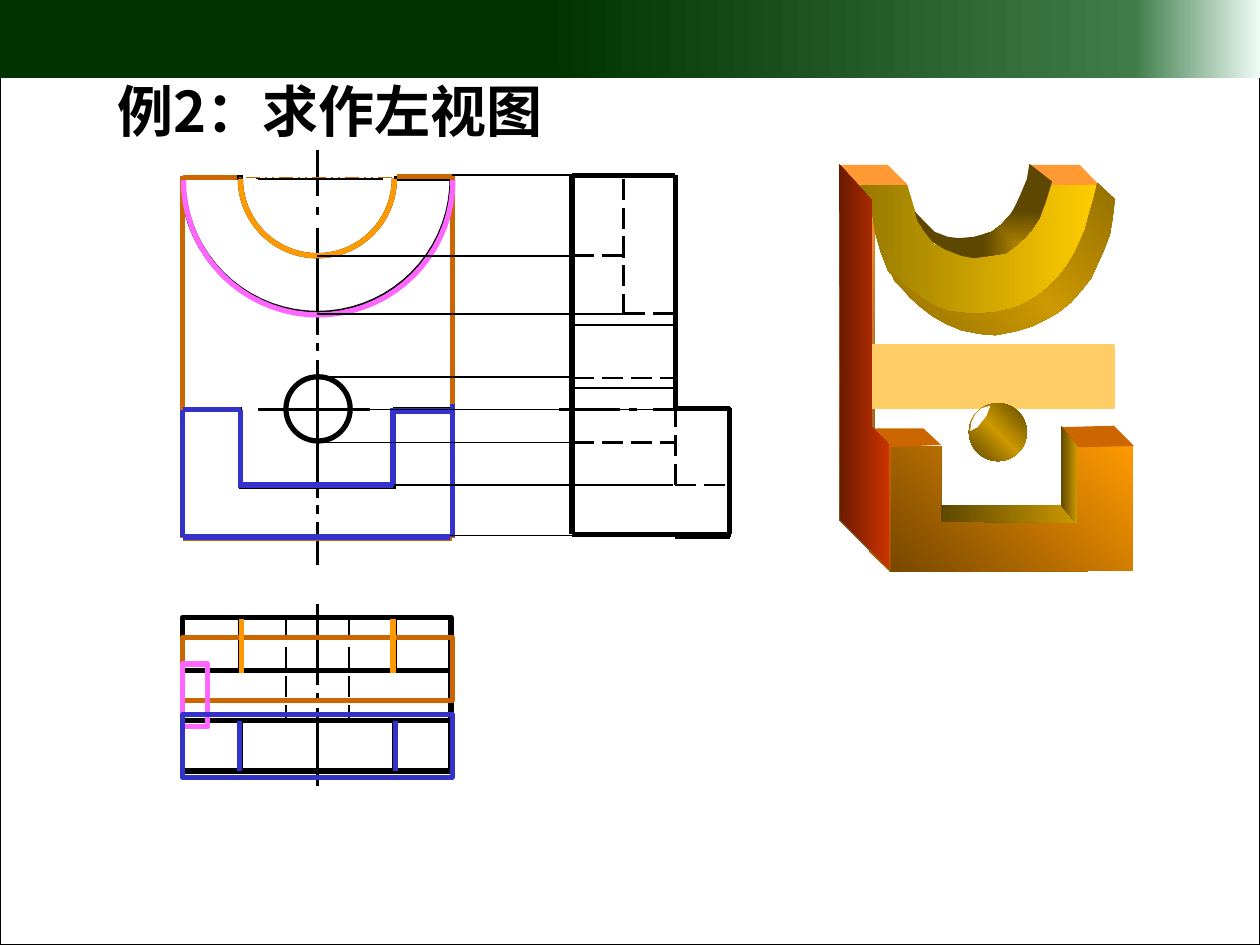
import math

import lxml.etree
import pptx
import pptx.dml.color
import pptx.enum.dml
import pptx.enum.shapes
import pptx.enum.text
import pptx.oxml
import pptx.oxml.ns
import pptx.util

Pt = pptx.util.Pt
qn = pptx.oxml.ns.qn
SHAPE = pptx.enum.shapes.MSO_SHAPE
DASH = pptx.enum.dml.MSO_LINE.LONG_DASH
DASH_DOT = pptx.enum.dml.MSO_LINE.DASH_DOT_DOT
FONT = "Noto Sans CJK SC"
BLACK, WHITE, BROWN, ORANGE = "000000", "FFFFFF", "CC6600", "FF9900"
PINK, BLUE = "FF66FF", "3333CC"


def color(value):
    """Turn a hex string into a colour."""
    return pptx.dml.color.RGBColor.from_string(value)


def set_gradient(shape, stops, angle):
    """Fill a shape with (percent, hex) stops, linear or towards a corner if angle is None."""
    shape.fill.background()
    properties = shape._element.spPr
    marks = "".join(f'<a:gs pos="{place * 1000}"><a:srgbClr val="{value}"/></a:gs>' for place, value in stops)
    course = f'<a:lin ang="{(angle or 0) * 60000}" scaled="0"/>'
    if angle is None:
        course = '<a:path path="rect"><a:fillToRect l="100000" t="100000"/></a:path>'
    gradient = pptx.oxml.parse_xml(
        f'<a:gradFill {pptx.oxml.ns.nsdecls("a")} rotWithShape="1"><a:gsLst>{marks}</a:gsLst>{course}</a:gradFill>')
    properties.replace(properties.find(qn("a:noFill")), gradient)


def style(shape, fill=None, line=None, width=3.0, angle=0):
    """Give a shape its fill (hex, stops or None) and its outline."""
    shape.shadow.inherit = False
    if fill is None:
        shape.fill.background()
    elif isinstance(fill, str):
        shape.fill.solid()
        shape.fill.fore_color.rgb = color(fill)
    else:
        set_gradient(shape, fill, angle)
    if line is None:
        shape.line.fill.background()
    else:
        shape.line.color.rgb = color(line)
        shape.line.width = Pt(width)


def add_box(page, origin, box, kind=SHAPE.RECTANGLE, **look):
    """Add a preset shape placed relative to the origin."""
    left, top, width, height = box
    shape = page.shapes.add_shape(kind, Pt(origin[0] + left), Pt(origin[1] + top), Pt(width), Pt(height))
    style(shape, **look)


def add_outline(page, origin, points, close=True, **look):
    """Add a freeform through points relative to the origin."""
    corners = [(Pt(origin[0] + x), Pt(origin[1] + y)) for x, y in points]
    builder = page.shapes.build_freeform(*corners[0], scale=1.0)
    builder.add_line_segments(corners[1:], close=close)
    style(builder.convert_to_shape(), **look)


def add_lines(page, origin, ends, line=BLACK, width=3.0, dash=None):
    """Add straight lines (x1, y1, x2, y2) relative to the origin."""
    left, top = origin
    for x1, y1, x2, y2 in ends:
        connector = page.shapes.add_connector(
            pptx.enum.shapes.MSO_CONNECTOR.STRAIGHT, Pt(left + x1), Pt(top + y1), Pt(left + x2), Pt(top + y2))
        connector.line.color.rgb = color(line)
        connector.line.width = Pt(width)
        if dash:
            connector.line.dash_style = dash
        lxml.etree.SubElement(connector._element.spPr, qn("a:effectLst"))


def add_half_circle(page, origin, center, radius, line):
    """Add the lower half of a circle as an open curve."""
    angles = [math.radians(180 - 5 * step) for step in range(37)]
    points = [(center[0] + radius * math.cos(a), center[1] + radius * math.sin(a)) for a in angles]
    add_outline(page, origin, points, close=False, line=line)


def add_header(page, box):
    """Add the page frame, the green band and the title."""
    left, top, width, height = box
    add_box(page, (left, top), (0, 0, width, height), line=BLACK, width=0.75)
    add_box(page, (left, top), (0, -1.4, width, 46), fill=[(43, "003300"), (90, "3F7C49"), (100, "EEFCF6")])
    title = page.shapes.title
    title.left, title.top, title.width, title.height = Pt(left + 59.8), Pt(top + 40.3), Pt(299.5), Pt(45.4)
    frame = title.text_frame
    frame.text = "例2：求作左视图"
    frame.vertical_anchor = pptx.enum.text.MSO_ANCHOR.MIDDLE
    para = frame.paragraphs[0]
    para.alignment = pptx.enum.text.PP_ALIGN.LEFT
    span = para.runs[0]
    span.font.size, span.font.bold, span.font.name = Pt(32), True, FONT
    span.font.color.rgb = color(BLACK)
    lxml.etree.SubElement(span.font._element, qn("a:ea")).set("typeface", FONT)


def add_front_view(page, origin):
    """Add the front view with its coloured outlines and centre lines."""
    add_lines(page, origin, [
        (154, 3.6, 154, 206.6), (32.4, 177, 121.7, 177), (0, 0.7, 34.6, 0.7), (1.4, 133.2, 33.8, 133.2),
        (33.1, 133.2, 33.1, 177), (120.2, 133.2, 152.6, 133.2), (120.2, 178.6, 120.2, 133.2),
        (154, 206.6, 0, 206.6), (0, 206.6, 0, 0), (154, 1.4, 121, 1.4)])
    add_box(page, origin, (59, 114.5, 36.7, 36.7), SHAPE.OVAL, line=BLACK)
    add_half_circle(page, origin, (77, 1.4), 77, BLACK)
    add_half_circle(page, origin, (77, 1.4), 44, BLACK)
    axis = [(-15, 11.5), (17.3, 22.3), (29.5, 90.7), (95, 100), (105, 183.6), (188, 193), (197.3, 221.8)]
    add_lines(page, origin, [(77, start, 77, end) for start, end in axis], width=1.5)
    add_lines(page, origin, [(43.2, 133.2, 107.3, 133.2), (43.2, 1.4, 114.5, 1.4)], width=1.5)
    add_lines(page, origin, [(41.8, 1.4, 114.5, 1.4)], width=0.75)
    add_lines(page, origin, [(0, 0, 0, 206.6), (0, 206.6, 154, 206.6), (154, 206.6, 154, 0),
                             (122.4, 0, 155.5, 0), (31, 0.7, 0, 0.7)], BROWN)
    add_lines(page, origin, [(119.5, 0.7, 31, 0.7)], BROWN, 1, DASH_DOT)
    add_half_circle(page, origin, (77.4, 2.2), 77, PINK)
    add_lines(page, origin, [
        (0, 133.2, 33.1, 133.2), (33.1, 133.2, 33.1, 176.4), (31.7, 176.4, 120.2, 176.4),
        (120.2, 177, 120.2, 132.5), (121.7, 134, 154, 134), (154, 130.3, 154, 206),
        (152.6, 206, 0, 206), (0, 206, 0, 133.2)], BLUE)
    add_half_circle(page, origin, (77, 1.4), 44, ORANGE)


def add_top_view(page, origin):
    """Add the top view with its coloured part outlines."""
    add_box(page, origin, (0, 0, 153.4, 87.8), line=BLACK)
    add_lines(page, origin, [(0, y, 154, y) for y in (30.2, 59)])
    slots = [(0.7, 31.7), (59, 87.8)]
    add_lines(page, origin, [(x, start, x, end) for x in (33.1, 121) for start, end in slots])
    add_lines(page, origin, [(x, 0.4, x, 59) for x in (59, 95)], width=1.5, dash=DASH)
    axis = [(-7.9, 38.9), (43.2, 48.2), (51.8, 96.5)]
    add_lines(page, origin, [(77, start, 77, end) for start, end in axis], width=1.5)
    for box, line in [((0, 11.5, 154, 36), BROWN), ((0, 26.6, 14.4, 36), PINK), ((0, 55.4, 154, 36), BLUE)]:
        add_box(page, origin, box, line=line)
    for (start, end), line, columns in zip(slots, (ORANGE, BLUE), ((33.8, 120.2), (32.4, 121.7))):
        add_lines(page, origin, [(x, start, x, end) for x in columns], line)


def add_projections(page, origin):
    """Add the thin lines that carry heights from the front view to the side view."""
    add_lines(page, origin, [
        (154, -0.7, 223.2, -0.7), (152.6, 205.2, 222.5, 205.2), (107.3, 133.2, 217.4, 133.2),
        (77, 114.5, 222.5, 114.5), (77, 152, 223.2, 152), (77, 78.5, 254.9, 78.5),
        (77, 45.4, 222.5, 45.4), (154, 133.2, 281.5, 133.2), (121, 176.4, 283, 176.4)], width=1)


def add_side_view(page, origin):
    """Add the left view with hidden edges and outline."""
    add_box(page, origin, (0, 85.7, 59.8, 36), line=BLACK, width=1.5)
    add_lines(page, origin, [(59, 134, 59, 206.6)], WHITE)
    add_lines(page, origin, [
        (0.7, 116, 59, 116), (0.7, 152.6, 59, 152.6), (59, 177, 88.6, 177), (29.5, 2, 29.5, 79.2),
        (29.5, 79.2, 60.5, 79.2), (0.7, 46, 29.5, 46), (59, 131.8, 59, 177.8)], width=1.5, dash=DASH)
    add_lines(page, origin, [
        (-7.2, 134, 27.4, 134), (32.4, 134, 37.4, 134), (46, 134, 74.2, 134),
        (59, 134, 90, 134), (90, 132.5, 90, 206.6), (59, 207.4, 90, 207.4)], width=1.5)
    corners = [(0, 0), (0, 205.2), (90, 205.2), (90, 133.2), (59, 133.2), (59, 0)]
    add_lines(page, origin, [start + end for start, end in zip(corners, corners[1:] + corners[:1])])


def add_solid(page, origin):
    """Add the shaded solid, face by face from back to front."""
    def face(points, fill, angle=0):
        """Add one face of the solid."""
        add_outline(page, origin, points, fill=fill, angle=angle)

    face([(0, 5), (0, 208), (20, 228), (20, 22)], [(0, "764718"), (100, "FF9933")], 315)
    face([(0, 5), (137.5, 5), (157, 25), (20, 25)], "FF9933")
    add_box(page, origin, (18.7, 108, 138.2, 36), fill="FFCC66", line="FFCC66", width=1.5)
    add_box(page, origin, (74.2, 141.1, 33.1, 33.1), SHAPE.OVAL,
            fill=[(0, "5E4700"), (50, "CC9900"), (100, "5E4700")], angle=315)
    face([(86.4, 142.6), (84.2, 148.3), (82, 151.2), (79.2, 154.8), (74.9, 157), (75.6, 152),
          (77.8, 147.6), (81.4, 144)], WHITE)
    face([(10, 16.6), (146.9, 16.6), (144.7, 26), (142.6, 36), (137.5, 51), (131.8, 62), (125.3, 70.6),
          (116.6, 77.8), (108, 83.5), (94.3, 89.3), (80, 91.4), (64.8, 89.3), (53.3, 85.7), (42.5, 79.2),
          (36, 74.2), (28, 65.5), (23.8, 54.7), (20.9, 44.6), (18, 26.6)], [(0, "967800"), (100, "FFCC00")])
    face([(29.5, 66.2), (36, 72.7), (42.5, 77.8), (47.5, 81.4), (54.7, 85.7), (62.6, 88.6), (69, 89.3),
          (77, 90), (88.6, 89.3), (98.6, 87.1), (104.4, 85), (112.3, 80.6), (119.5, 74.9), (124.6, 69.8),
          (130.3, 62.6), (134.6, 55.4), (140.4, 42.5), (143.3, 31.7), (145.4, 24.5), (147.6, 15.1),
          (157.7, 24.5), (156.2, 36), (154.8, 44.6), (151.2, 54), (146.9, 63.4), (144, 69.8), (138.2, 77),
          (132.5, 83.5), (125.3, 89.3), (118.8, 92.9), (110.2, 97.2), (100.8, 100), (89.3, 102.2),
          (80.6, 101.5), (69.8, 99.4), (61.2, 95.8), (53.3, 91.4), (46, 85.7), (40.3, 80.6), (36.7, 76.3),
          (31.7, 71.3)], [(0, "957000"), (50, "CC9900"), (100, "957000")], 315)
    face([(28, 165.6), (28.8, 237.6), (167.8, 236.9), (167.8, 165.6), (136, 165.6), (136, 208.8),
          (58.3, 208.8), (58.3, 165.6)], [(0, "764700"), (100, ORANGE)], 315)
    olive = [(0, "5E4700"), (100, "CC9900")]
    face([(58.3, 199.4), (58.3, 208.8), (136.8, 209.5), (126.7, 199.4)], olive)
    face([(126.7, 154.8), (135.4, 166.3), (168.5, 165.6), (157, 154)], BROWN)
    face([(19.4, 155.5), (28.8, 166.3), (58.3, 164.9), (48.2, 155.5)], BROWN)
    face([(126.7, 154), (136, 165.6), (136, 210.2), (126.7, 199.4)], olive)
    face([(17.3, 154), (17.3, 226), (29.5, 237.6), (29.5, 164.9)], [(0, "A35200"), (100, BROWN)], 315)
    face([(0, 4.3), (18.7, 25.2), (18.7, 154.8), (28.8, 164.9), (28.8, 235.4), (0.7, 207.4)],
         [(0, "6A1A00"), (100, "CC3300")])
    face([(38.9, 15.8), (23, 0), (104.4, 0), (109.4, 5), (105.8, 23), (95.8, 38.9), (83.5, 46.8),
          (71.3, 49.7), (54.7, 50.4), (46.8, 40.3), (43.2, 30.2)], WHITE)
    face([(43.2, 31.7), (54.7, 43.2), (62, 46), (68.4, 46.8), (77, 46), (87.1, 43.2), (92.9, 38.9),
          (98, 33), (100.8, 28), (103.7, 21.6), (107.3, 13), (108.7, 4.3), (121.7, 14.4), (118, 26.6),
          (114.5, 35.3), (110.2, 41.8), (106.6, 46), (100, 51.8), (95, 55.4), (85.7, 56.9), (77, 58.3),
          (69.8, 56.9), (60.5, 53.3), (53.3, 49), (48.2, 42.5), (44.6, 36.7)],
         [(0, "CC9900"), (100, "5E4700")], None)


def main():
    """Build the deck and save it."""
    deck = pptx.Presentation()
    deck.slide_width, deck.slide_height = Pt(720), Pt(540)
    page = deck.slides.add_slide(deck.slide_layouts[5])
    add_header(page, (0, 0, 720, 540))
    add_top_view(page, (104.4, 352.8))
    add_front_view(page, (104.4, 100.8))
    add_projections(page, (104.4, 100.8))
    add_side_view(page, (326.9, 100.1))
    add_solid(page, (479.5, 89.3))
    deck.save("out.pptx")


if __name__ == "__main__":
    main()
